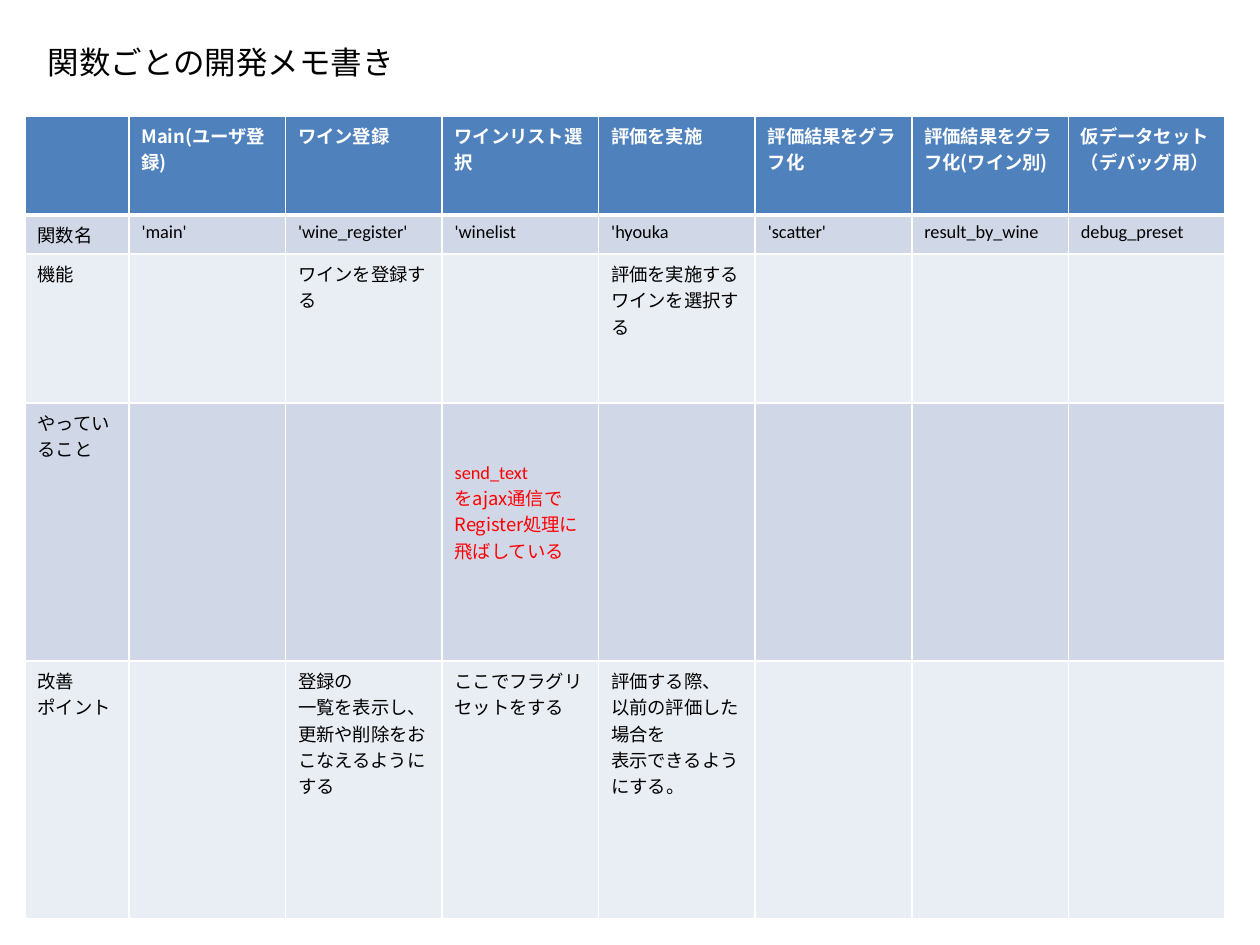
"""Build the slide of development notes listed function by function."""
from dataclasses import dataclass

from lxml import etree
from pptx import Presentation
from pptx import util as u
from pptx.dml.color import RGBColor
from pptx.enum import text as t
from pptx.oxml.ns import qn

PX = 914400 / 126


def px(length: int) -> int:
    return round(length * PX)


@dataclass(frozen=True)
class Theme:
    header: str = "4F81BD"
    bands: tuple = ("D0D8E8", "E9EDF4")
    ink: str = "000000"
    paper: str = "FFFFFF"
    alert: str = "FF0000"
    latin: str = "Calibri"
    japanese: str = "Noto Sans CJK JP"
    title_size: float = 18
    cell_size: float = 10.5
    rule: float = 1
    header_rule: float = 3


@dataclass(frozen=True)
class Entry:
    text: str = ""
    color: str = ""
    top: int = 6


@dataclass(frozen=True)
class Band:
    height: int
    entries: tuple


THEME = Theme()
LABEL_WIDTH, TABLE_WIDTH = 104, 1200
BLANK = Entry()
BANDS = (
    Band(99, (BLANK, Entry("Main(ユーザ登録)"), Entry("ワイン登録"),
              Entry("ワインリスト選択"), Entry("評価を実施"),
              Entry("評価結果をグラフ化"), Entry("評価結果をグラフ化(ワイン別)"),
              Entry("仮データセット（デバッグ用）"))),
    Band(39, (Entry("関数名"), Entry("'main'"), Entry("'wine_register'"),
              Entry("'winelist"), Entry("'hyouka"), Entry("'scatter'"),
              Entry("result_by_wine"), Entry("debug_preset"))),
    Band(149, (Entry("機能"), BLANK, Entry("ワインを登録する"), BLANK,
               Entry("評価を実施する\vワインを選択する"), BLANK, BLANK, BLANK)),
    Band(258, (Entry("やっていること"), BLANK, BLANK,
               Entry("send_text\nをajax通信で\nRegister処理に飛ばしている",
                     THEME.alert, 59),
               BLANK, BLANK, BLANK, BLANK)),
    Band(258, (Entry("改善\nポイント"), BLANK,
               Entry("登録の\n一覧を表示し、\n更新や削除をおこなえるようにする"),
               Entry("ここでフラグリセットをする"),
               Entry("評価する際、\n以前の評価した場合を\n表示できるようにする。"),
               BLANK, BLANK, BLANK)),
)


def apply(target, formats: dict) -> None:
    for name, value in formats.items():
        setattr(target, name, value)


def style_text(frame, size: float, color: str, bold: bool, latin: str = "") -> None:
    for paragraph in frame.paragraphs:
        for run in paragraph.runs:
            family = THEME.latin if run.text.isascii() else THEME.japanese
            apply(run.font, {"size": u.Pt(size), "bold": bold, "name": latin or family})
            run.font.color.rgb = RGBColor.from_string(color)
            east_asian = etree.Element(qn("a:ea"), typeface=THEME.japanese)
            run.font._element.find(qn("a:latin")).addnext(east_asian)
        for line_break in paragraph._p.findall(qn("a:br")):
            etree.SubElement(line_break, qn("a:rPr"), sz=str(int(size * 100)))


def draw_borders(cell, widths: dict) -> None:
    properties = cell._tc.get_or_add_tcPr()
    for side, width in widths.items():
        line = etree.SubElement(properties, qn(f"a:ln{side}"), w=str(u.Pt(width)))
        fill = etree.SubElement(line, qn("a:solidFill"))
        etree.SubElement(fill, qn("a:srgbClr"), val=THEME.paper)


def draw_cell(cell, entry: Entry, row: int) -> None:
    is_header = row == 0
    draw_borders(cell, {
        "L": THEME.rule, "R": THEME.rule,
        "T": THEME.header_rule if row == 1 else THEME.rule,
        "B": THEME.header_rule if is_header else THEME.rule,
    })
    cell.fill.solid()
    background = THEME.header if is_header else THEME.bands[(row - 1) % 2]
    cell.fill.fore_color.rgb = RGBColor.from_string(background)
    apply(cell, {"margin_top": px(entry.top), "vertical_anchor": t.MSO_ANCHOR.TOP})
    if entry.text:
        cell.text_frame.text = entry.text
        color = entry.color or (THEME.paper if is_header else THEME.ink)
        style_text(cell.text_frame, THEME.cell_size, color, is_header)


def draw_notes(slide) -> None:
    count = len(BANDS[0].entries)
    height = sum(band.height for band in BANDS)
    notes = slide.shapes.add_table(len(BANDS), count, px(25), px(116),
                                   px(TABLE_WIDTH), px(height)).table
    function_width = px(TABLE_WIDTH - LABEL_WIDTH) // (count - 1)
    for index, column in enumerate(notes.columns):
        column.width = function_width if index else px(LABEL_WIDTH)
    for row, band in enumerate(BANDS):
        notes.rows[row].height = px(band.height)
        for column, entry in enumerate(band.entries):
            draw_cell(notes.cell(row, column), entry, row)


def draw_title(slide, wording: str) -> None:
    heading = slide.shapes.title
    apply(heading, {"left": px(35), "top": px(37), "width": px(417), "height": px(50)})
    frame = heading.text_frame
    frame.text = wording
    apply(frame, {"word_wrap": True, "vertical_anchor": t.MSO_ANCHOR.MIDDLE,
                  "auto_size": t.MSO_AUTO_SIZE.NONE})
    frame.paragraphs[0].alignment = t.PP_ALIGN.LEFT
    style_text(frame, THEME.title_size, THEME.ink, False, THEME.latin)


def main() -> None:
    deck = Presentation()
    apply(deck, {"slide_width": px(1260), "slide_height": px(945)})
    slide = deck.slides.add_slide(deck.slide_layouts[5])
    draw_notes(slide)
    draw_title(slide, "関数ごとの開発メモ書き")
    deck.save("out.pptx")


if __name__ == "__main__":
    main()
